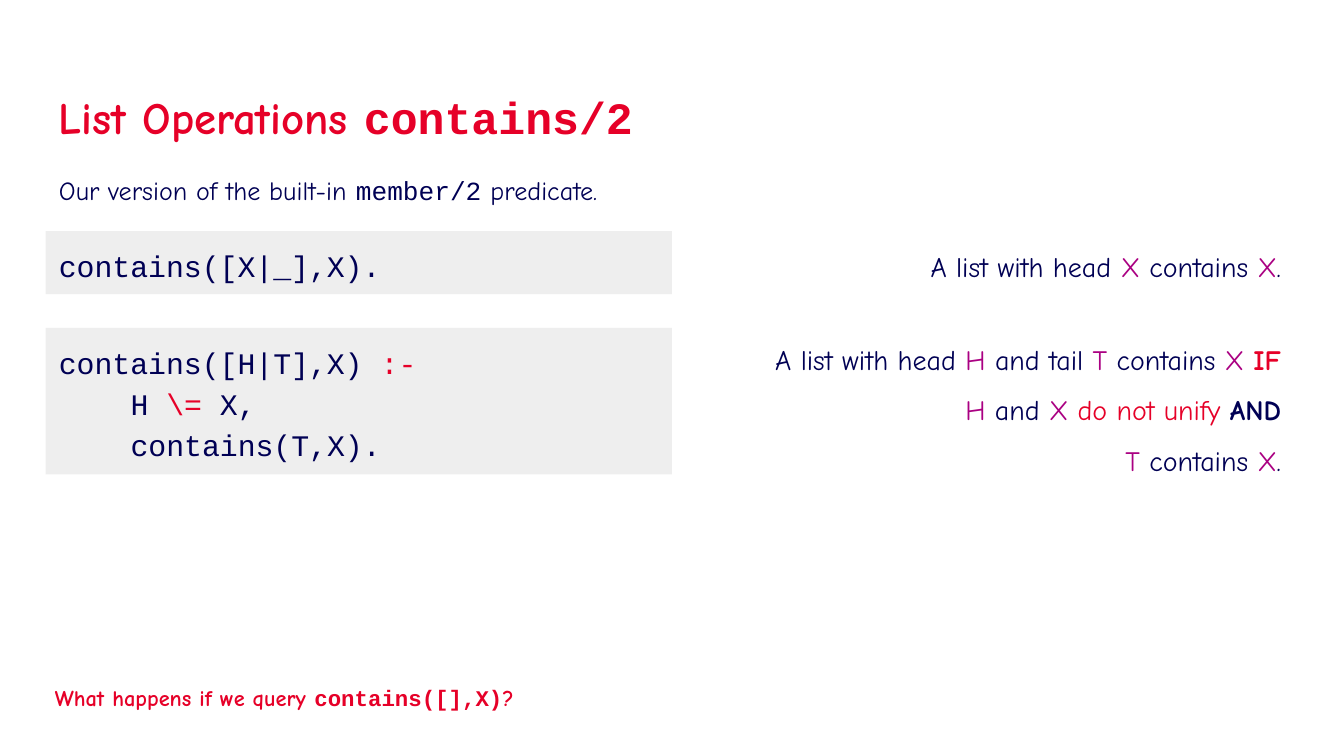
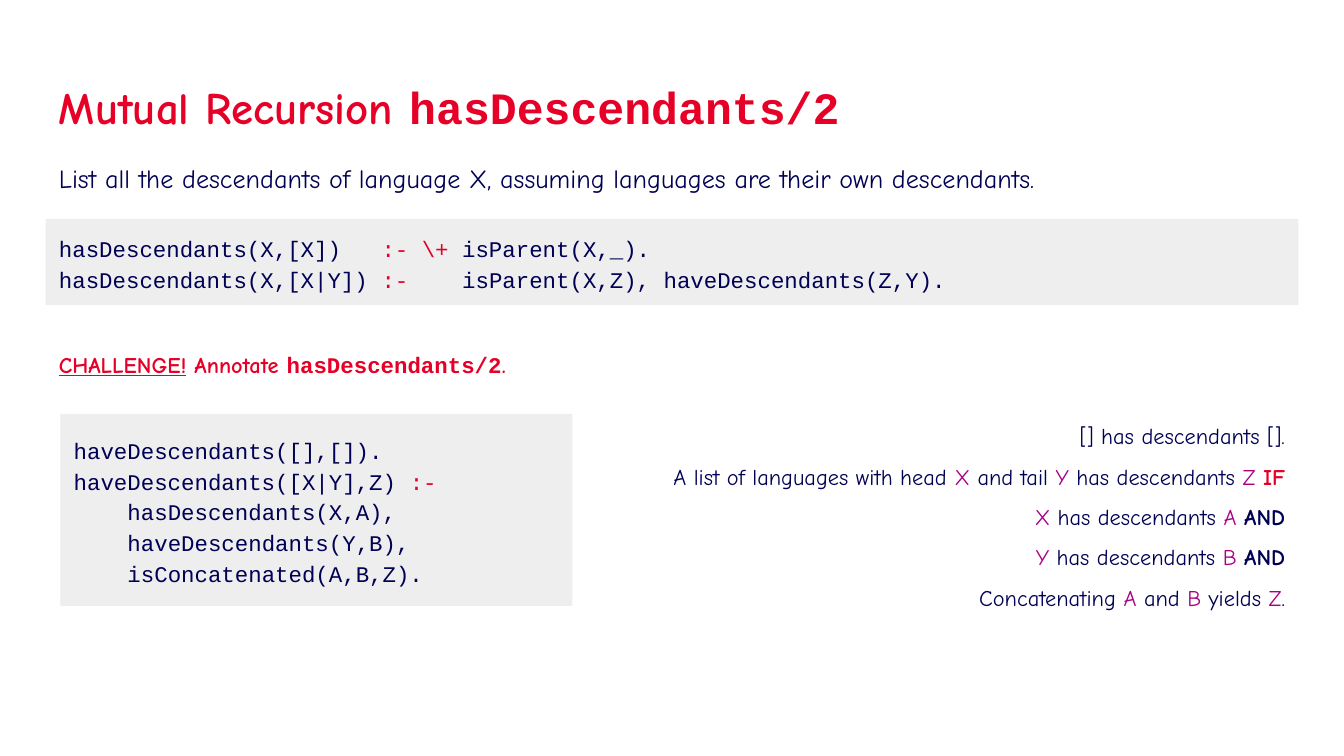
from dataclasses import dataclass, replace

from lxml import etree
from pptx import Presentation
from pptx import util as u
from pptx.dml.color import RGBColor
from pptx.enum import shapes, text
from pptx.oxml.ns import qn

# Shared colours and fonts
RED = RGBColor(0xE6, 0x00, 0x28)
NAVY = RGBColor(0x00, 0x00, 0x54)
PURPLE = RGBColor(0xAA, 0x00, 0x82)
GREY = RGBColor(0xEE, 0xEE, 0xEE)
PROSE_FONT = "Comic Neue"
CODE_FONT = "Courier New"

# One px is a hundredth of an inch
PX = 9144
PAGE_WIDTH = 1000
MARGIN = 34
FULL_WIDTH = 932
COURIER_ADVANCE = 0.6


@dataclass(frozen=True)
class Look:
    font: str = PROSE_FONT
    color: RGBColor = NAVY
    bold: bool = False
    underline: bool = False


PROSE = Look()
VARIABLE = Look(color=PURPLE)
WARNING = Look(color=RED)
AND_WORD = Look(bold=True)
IF_WORD = Look(color=RED, bold=True)
UNDERLINED = replace(IF_WORD, underline=True)
CODE = Look(font=CODE_FONT)
OPERATOR = Look(font=CODE_FONT, color=RED)
RED_CODE = Look(font=CODE_FONT, color=RED, bold=True)


def var(name):
    return name, VARIABLE


def op(symbol):
    return symbol, OPERATOR


IF = ("IF", IF_WORD)
AND = ("AND", AND_WORD)


class Slides:
    """Holds the deck, its style and the current page."""

    def __init__(self):
        self.deck = Presentation()
        self.deck.slide_width = u.Emu(PAGE_WIDTH * PX)
        # Widescreen, 16 to 9
        self.deck.slide_height = u.Emu(PAGE_WIDTH * PX * 9 // 16)
        self.page = None

    def new_page(self):
        self.page = self.deck.slides.add_slide(self.deck.slide_layouts[6])

    def fill_text(self, box, lines, size, look, spacing=None,
                  align=text.PP_ALIGN.LEFT, anchor=text.MSO_ANCHOR.TOP):
        """Write lines of spans; a plain string takes the given look."""
        frame = box.text_frame
        frame.word_wrap = True
        frame.vertical_anchor = anchor
        frame.margin_left = frame.margin_right = u.Emu(10 * PX)
        frame.margin_top = frame.margin_bottom = u.Emu(10 * PX)
        for index, line in enumerate(lines):
            para = frame.paragraphs[0] if index == 0 else frame.add_paragraph()
            para.alignment = align
            if spacing:
                para.line_spacing = spacing
            for part in line:
                words, style = (part, look) if isinstance(part, str) else part
                span = para.add_run()
                span.text = words
                font = span.font
                font.name = style.font
                font.size = u.Pt(size)
                font.bold = style.bold
                font.underline = style.underline
                font.color.rgb = style.color

    def text_box(self, place, lines, size, look=PROSE, **layout):
        box = self.page.shapes.add_textbox(*(u.Emu(n * PX) for n in place))
        self.fill_text(box, lines, size, look, **layout)

    def title(self, top, words, predicate):
        self.text_box((MARGIN, top, FULL_WIDTH, 63),
                      [[words, (predicate, RED_CODE)]], 24, IF_WORD)

    def intro(self, top, *spans):
        self.text_box((MARGIN, top, FULL_WIDTH, 44), [spans], 14)

    def remark(self, left, top, *spans, anchor=text.MSO_ANCHOR.TOP):
        self.text_box((left, top, FULL_WIDTH, 40), [spans], 12, IF_WORD,
                      anchor=anchor)

    def reading(self, place, lines, size, spacing=1.5):
        self.text_box(place, lines, size, spacing=spacing,
                      align=text.PP_ALIGN.RIGHT, anchor=text.MSO_ANCHOR.MIDDLE)

    def code(self, place, lines, size, indented=(), stops=()):
        """Grey panel; indented lines and tab stops count in characters."""
        box = self.page.shapes.add_shape(
            shapes.MSO_SHAPE.RECTANGLE, *(u.Emu(n * PX) for n in place))
        box.shadow.inherit = False
        box.fill.solid()
        box.fill.fore_color.rgb = GREY
        box.line.fill.background()
        self.fill_text(box, lines, size, CODE, spacing=1.15,
                       anchor=text.MSO_ANCHOR.MIDDLE)
        column = u.Pt(size) * COURIER_ADVANCE
        for index, para in enumerate(box.text_frame.paragraphs):
            props = para._p.get_or_add_pPr()
            if index in indented:
                props.set("marL", str(round(4 * column)))
                props.set("indent", "0")
            if stops:
                tabs = etree.SubElement(props, qn("a:tabLst"))
                for stop in stops:
                    etree.SubElement(tabs, qn("a:tab"),
                                     pos=str(round(stop * column)), algn="l")


def contains_page(slides):
    slides.new_page()
    slides.title(57, "List Operations ", "contains/2")
    slides.intro(120, "Our version of the built-in ", ("member/2", CODE),
                 " predicate.")

    # Base case
    slides.code((MARGIN, 172, 466, 47), [["contains([X|_],X)."]], 16)
    slides.reading((500, 174, 463, 45), [
        ["A list with head ", var("X"), " contains ", var("X"), "."],
    ], 15, spacing=1.15)

    # Recursive case
    slides.code((MARGIN, 244, 466, 109), [
        ["contains([H|T],X) ", op(":-")],
        ["H ", op("\\="), " X,"],
        ["contains(T,X)."],
    ], 16, indented=(1, 2))
    slides.reading((500, 244, 463, 109), [
        ["A list with head ", var("H"), " and tail ", var("T"),
         " contains ", var("X "), IF],
        [var("H"), " and ", var("X "), ("do not unify ", WARNING), AND],
        [var("T"), " contains ", var("X"), "."],
    ], 15)

    # Closing question
    slides.remark(31, 499, "What happens if we query ",
                  ("contains([],X)", RED_CODE), "?",
                  anchor=text.MSO_ANCHOR.BOTTOM)


def descendants_page(slides):
    slides.new_page()
    slides.title(49, "Mutual Recursion ", "hasDescendants/2")
    slides.intro(111, "List all the descendants of language X, "
                      "assuming languages are their own descendants.")

    # Descendants of one language
    slides.code((MARGIN, 163, FULL_WIDTH, 64), [
        ["hasDescendants(X,[X])\t", op(":- \\+"), " isParent(X,_)."],
        ["hasDescendants(X,[X|Y]) ", op(":-"),
         "\tisParent(X,Z), haveDescendants(Z,Y)."],
    ], 12, stops=(24, 30))
    slides.remark(MARGIN, 251, ("CHALLENGE!", UNDERLINED), " Annotate ",
                  ("hasDescendants/2", RED_CODE), ".")

    # Descendants of a list of languages
    slides.code((45, 308, 381, 143), [
        ["haveDescendants([],[])."],
        ["haveDescendants([X|Y],Z) ", op(":-")],
        ["hasDescendants(X,A),"],
        ["haveDescendants(Y,B),"],
        ["isConcatenated(A,B,Z)."],
    ], 12, indented=(2, 3, 4))
    slides.reading((415, 308, 551, 143), [
        ["[] has descendants []."],
        ["A list of languages with head ", var("X"), " and tail ", var("Y"),
         " has descendants ", var("Z "), IF],
        *([var(parent), " has descendants ", var(child + " "), AND]
          for parent, child in ("XA", "YB")),
        ["Concatenating ", var("A"), " and ", var("B"), " yields ",
         var("Z"), "."],
    ], 12)


def main():
    slides = Slides()
    contains_page(slides)
    descendants_page(slides)
    slides.deck.save("out.pptx")


if __name__ == "__main__":
    main()
